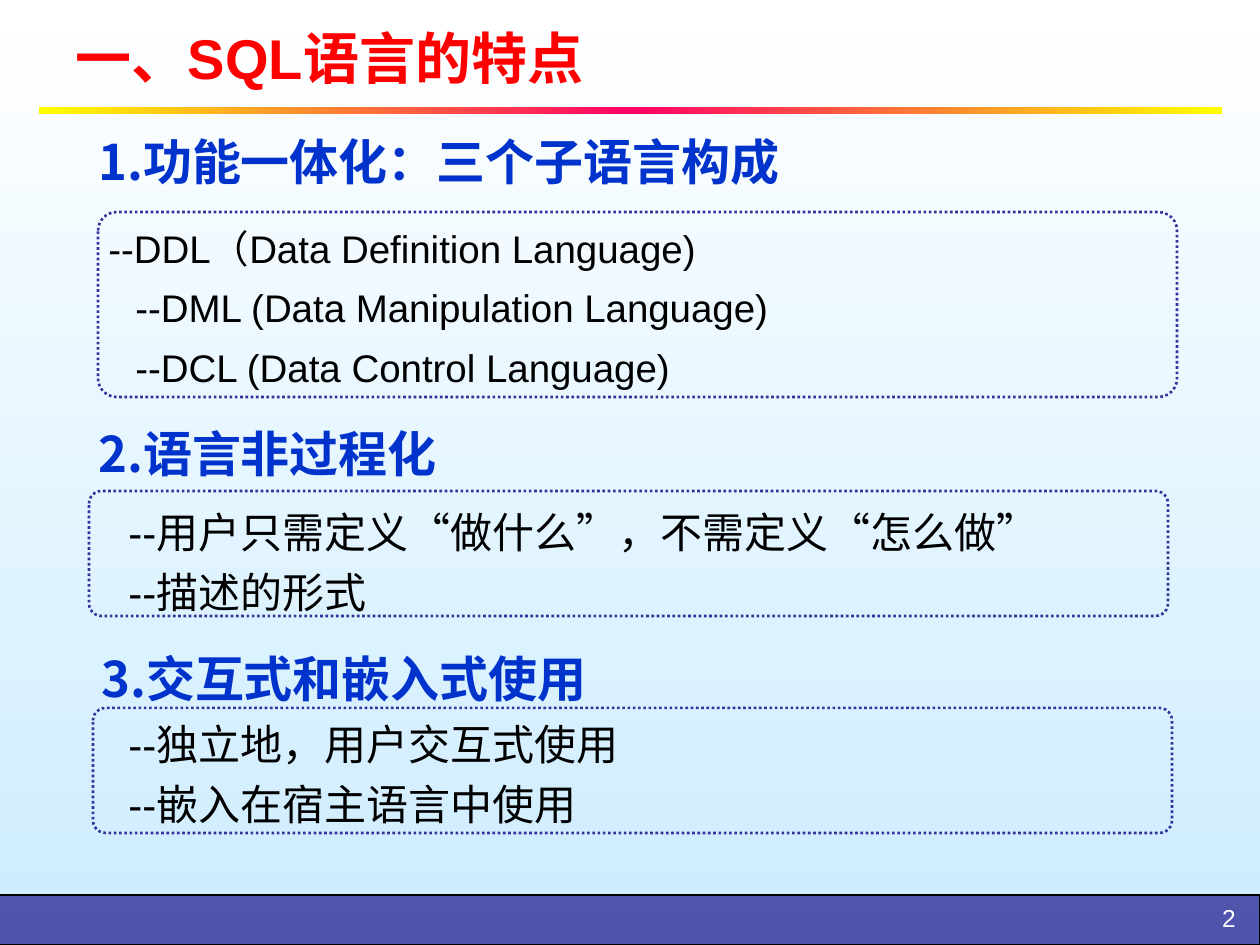
from copy import deepcopy
from dataclasses import dataclass

from lxml import etree
from pptx import Presentation
from pptx import util as u
from pptx.dml.color import RGBColor
from pptx.enum import dml, shapes, text
from pptx.oxml.ns import qn

PX = 914400 / 126


@dataclass(frozen=True)
class Theme:
    latin: str = "Arial"
    chinese: str = "Noto Sans CJK SC"
    title: str = "FF0000"
    heading: str = "0033CC"
    body: str = "000000"
    navy: str = "333399"
    white: str = "FFFFFF"
    sky: str = "CCECFF"
    yellow: str = "FFFF00"
    pink: str = "FF0066"
    title_size: int = 32
    heading_size: int = 28
    number_size: int = 14


THEME = Theme()


@dataclass(frozen=True)
class Area:
    left: int
    top: int
    width: int
    height: int

    def emu(self) -> list[u.Emu]:
        return [px(n) for n in (self.left, self.top, self.width, self.height)]


@dataclass(frozen=True)
class Section:
    heading: str
    heading_area: Area
    frame_area: Area
    detail_area: Area
    details: tuple[str, ...]
    indents: tuple[int, ...]
    font: str
    size: int
    spacing: float
    before: int = 0


SECTIONS = (
    Section("1.功能一体化：三个子语言构成", Area(86, 105, 784, 79),
            Area(98, 212, 1079, 185), Area(71, 212, 1134, 183),
            ("DDL（Data Definition Language)", "DML (Data Manipulation Language)",
             "DCL (Data Control Language)"),
            (25, 52, 52), THEME.latin, 22, 1.14, 4),
    Section("2.语言非过程化", Area(86, 397, 784, 79),
            Area(89, 491, 1079, 125), Area(53, 490, 1043, 131),
            ("用户只需定义“做什么”，不需定义“怎么做”", "描述的形式"),
            (63, 63), THEME.chinese, 24, 1.2),
    Section("3.交互式和嵌入式使用", Area(89, 622, 784, 79),
            Area(93, 708, 1079, 125), Area(53, 702, 997, 129),
            ("独立地，用户交互式使用", "嵌入在宿主语言中使用"),
            (63, 63), THEME.chinese, 24, 1.2),
)


def px(n: int) -> u.Emu:
    return u.Emu(round(n * PX))


def rgb(color: str) -> RGBColor:
    return RGBColor.from_string(color)


def style(para, size: int, color: str, name: str, bold: bool = False) -> None:
    font = para.font
    font.size, font.bold, font.name = u.Pt(size), bold, name
    font.color.rgb = rgb(color)
    latin = para._p.pPr.find(qn("a:defRPr")).find(qn("a:latin"))
    east = etree.Element(qn("a:ea"), typeface=THEME.chinese)
    latin.addnext(east)


def gradient(fill, colors: tuple[str, ...], angle: int) -> None:
    fill.gradient()
    fill.gradient_angle = angle
    first = fill.gradient_stops[0]._gs
    for _ in colors[2:]:
        first.addnext(deepcopy(first))
    for i, (stop, color) in enumerate(zip(fill.gradient_stops, colors)):
        stop.position = i / (len(colors) - 1)
        stop.color.rgb = rgb(color)


def add_shape(page, kind, area: Area):
    shape = page.shapes.add_shape(kind, *area.emu())
    shape.shadow.inherit = False
    return shape


def add_box(page, area: Area):
    box = page.shapes.add_textbox(*area.emu())
    box.text_frame.word_wrap = True
    return box.text_frame


def add_heading(page, section: Section) -> None:
    para = add_box(page, section.heading_area).paragraphs[0]
    para.text = section.heading
    para.line_spacing = 1.35
    style(para, THEME.heading_size, THEME.heading, THEME.chinese, True)


def add_frame(page, area: Area) -> None:
    frame = add_shape(page, shapes.MSO_SHAPE.ROUNDED_RECTANGLE, area)
    frame.adjustments[0] = 0.1
    frame.fill.background()
    frame.line.color.rgb = rgb(THEME.navy)
    frame.line.width = u.Pt(1.5)
    frame.line.dash_style = dml.MSO_LINE.ROUND_DOT


def add_details(page, section: Section) -> None:
    box = add_box(page, section.detail_area)
    for i, (detail, indent) in enumerate(zip(section.details, section.indents)):
        para = box.add_paragraph() if i else box.paragraphs[0]
        para._p.get_or_add_pPr().set("marL", str(px(indent)))
        para.line_spacing = section.spacing
        if i and section.before:
            para.space_before = u.Pt(section.before)
        dashes, span = para.add_run(), para.add_run()
        dashes.text, span.text = "--", detail
        style(para, section.size, THEME.body, section.font)
        if section.font != THEME.latin:
            dashes.font.name = THEME.latin


def add_backdrop(page) -> None:
    gradient(page.background.fill, (THEME.white, THEME.sky), 270)

    # Footer band
    band = add_shape(page, shapes.MSO_SHAPE.RECTANGLE, Area(-1, 895, 1261, 50))
    band.fill.solid()
    band.fill.fore_color.rgb = rgb(THEME.navy)
    tint = band._element.spPr.find(qn("a:solidFill"))[0]
    etree.SubElement(tint, qn("a:alpha"), val="81000")
    band.line.color.rgb = rgb(THEME.body)
    band.line.width = u.Pt(0.75)

    # Rule under the title
    rule = add_shape(page, shapes.MSO_SHAPE.RECTANGLE, Area(39, 107, 1183, 7))
    gradient(rule.fill, (THEME.yellow, THEME.pink, THEME.yellow), 0)
    rule.line.fill.background()

    # Page number
    para = add_box(page, Area(1126, 897, 122, 38)).paragraphs[0]
    para.text = "2"
    para.alignment = text.PP_ALIGN.RIGHT
    style(para, THEME.number_size, THEME.white, THEME.latin)


def add_title(page) -> None:
    title = page.shapes.title
    title.left, title.top, title.width, title.height = Area(63, 9, 1134, 96).emu()
    box = title.text_frame
    box.auto_size = text.MSO_AUTO_SIZE.NONE
    box.vertical_anchor = text.MSO_ANCHOR.MIDDLE
    para = box.paragraphs[0]
    para.text = "一、SQL语言的特点"
    para.alignment = text.PP_ALIGN.LEFT
    style(para, THEME.title_size, THEME.title, THEME.latin, True)


def main() -> None:
    deck = Presentation()
    deck.slide_width, deck.slide_height = px(1260), px(945)
    page = deck.slides.add_slide(deck.slide_layouts[5])
    add_backdrop(page)
    add_title(page)
    for section in SECTIONS:
        add_heading(page, section)
        add_frame(page, section.frame_area)
        add_details(page, section)
    deck.save("out.pptx")


if __name__ == "__main__":
    main()
